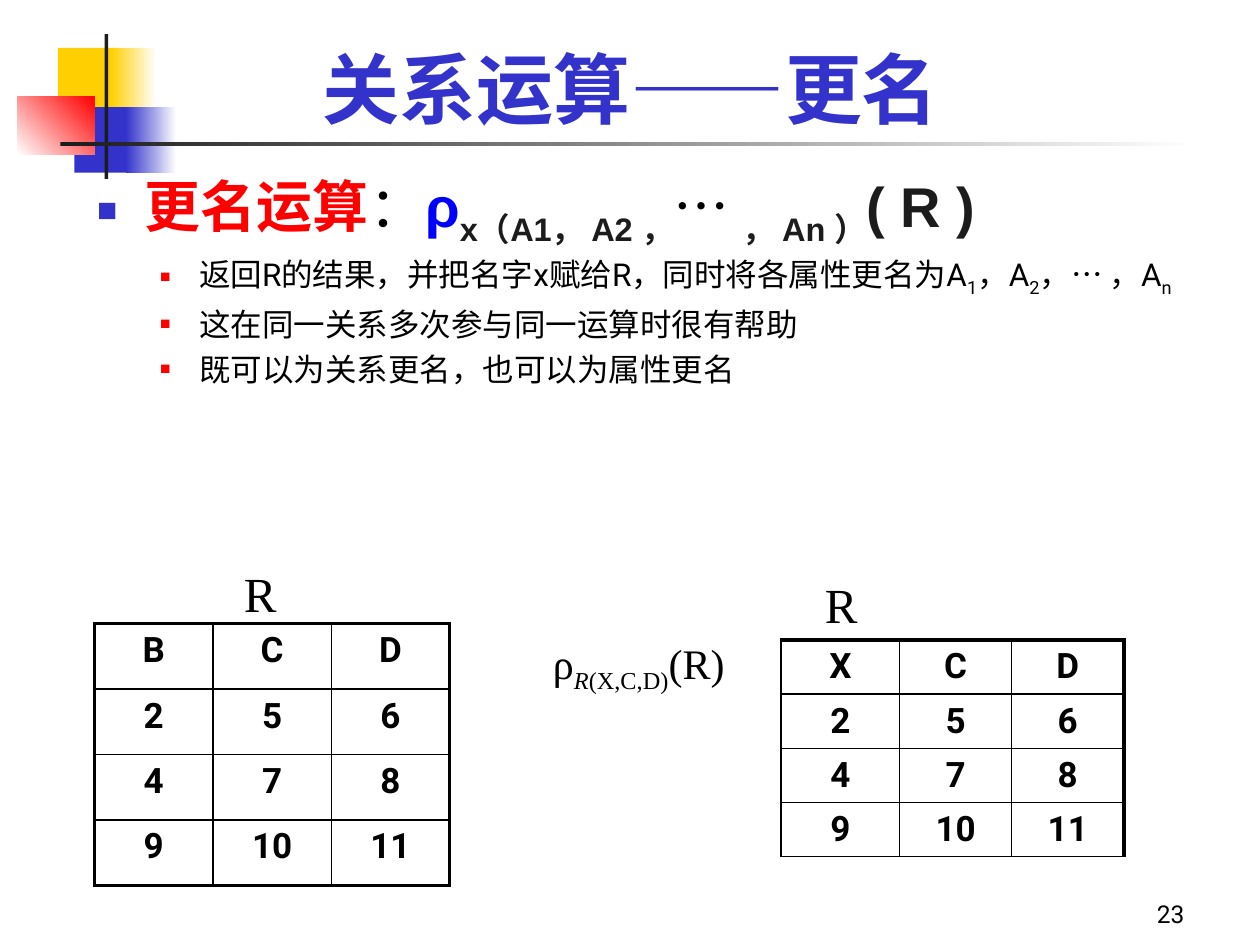
from lxml.etree import SubElement
from pptx import Presentation
from pptx.dml.color import RGBColor
from pptx.enum.shapes import MSO_SHAPE
from pptx.enum.text import MSO_ANCHOR, MSO_AUTO_SIZE, PP_ALIGN
from pptx.oxml.ns import qn
from pptx.util import Inches, Pt

BLUE, RED, BLACK, DARK = "3333CC", "FF0000", "000000", "1C1C1C"
YELLOW, WHITE, BRIGHT_BLUE = "FFCF01", "FFFFFF", "0000FF"
CJK, SANS, ARIAL, SERIF = "Noto Sans CJK SC", "Roboto", "Arial", "Times New Roman"
THIN, THICK = 1, 2.25


def color(hex_string):
    return RGBColor.from_string(hex_string)


def grid(*steps):
    """Lengths on a grid of 100 columns by 75 rows."""
    return [Inches(step / 10) for step in steps]


class SlideBuilder:
    def __init__(self, presentation):
        self.slide = presentation.slides.add_slide(presentation.slide_layouts[1])

    def block(self, box, first, last=None, angle=0):
        """Rectangle in one colour, or fading from first to last."""
        shape = self.slide.shapes.add_shape(MSO_SHAPE.RECTANGLE, *grid(*box))
        shape.shadow.inherit = False
        shape.line.fill.background()
        if last is None:
            shape.fill.solid()
            shape.fill.fore_color.rgb = color(first)
        else:
            shape.fill.gradient()
            shape.fill.gradient_angle = angle
            for stop, shade in zip(shape.fill.gradient_stops, (first, last)):
                stop.color.rgb = color(shade)

    def add_runs(self, paragraph, pieces, align, size, font=SANS, shade=BLACK, bold=False):
        """Add runs; each piece is its text and what differs from the defaults."""
        paragraph.alignment = align
        for text, changes in pieces:
            run = paragraph.add_run()
            run.text = text
            run.font.name = changes.get("font", font)
            run.font.size = Pt(size)
            run.font.bold = changes.get("bold", bold)
            run.font.italic = changes.get("italic", False)
            run.font.color.rgb = color(changes.get("shade", shade))
            properties = run._r.get_or_add_rPr()
            SubElement(properties, qn("a:ea")).set("typeface", CJK)
            if changes.get("sub"):
                properties.set("baseline", "-25000")

    def place(self, shape, box, anchor=MSO_ANCHOR.TOP, wrap=True):
        shape.left, shape.top, shape.width, shape.height = grid(*box)
        frame = shape.text_frame
        frame.word_wrap = wrap
        frame.auto_size = MSO_AUTO_SIZE.NONE
        frame.vertical_anchor = anchor
        return frame

    def title(self, box, text):
        frame = self.place(self.slide.shapes.title, box, MSO_ANCHOR.BOTTOM)
        self.add_runs(frame.paragraphs[0], [(text, {})], PP_ALIGN.CENTER, 44, CJK, BLUE, True)

    def body(self, box, heading, points):
        frame = self.place(self.slide.placeholders[1], box)
        first = frame.paragraphs[0]
        first.space_before = Pt(0)
        self.bullet(first, 0.38, 0.38, BLUE, 60)
        self.add_runs(first, heading, PP_ALIGN.JUSTIFY, 32, ARIAL, DARK, True)
        for pieces in points:
            paragraph = frame.add_paragraph()
            paragraph.level = 1
            paragraph.space_before = Pt(4)
            self.bullet(paragraph, 0.81, 0.31, RED, 55)
            self.add_runs(paragraph, pieces, PP_ALIGN.JUSTIFY, 18)

    def bullet(self, paragraph, margin, hanging, shade, percent):
        properties = paragraph._p.get_or_add_pPr()
        properties.set("marL", str(Inches(margin)))
        properties.set("indent", str(-Inches(hanging)))
        bullet_color = SubElement(properties, qn("a:buClr"))
        SubElement(bullet_color, qn("a:srgbClr")).set("val", shade)
        SubElement(properties, qn("a:buSzPct")).set("val", str(percent * 1000))
        SubElement(properties, qn("a:buFont")).set("typeface", ARIAL)
        SubElement(properties, qn("a:buChar")).set("char", "■")

    def label(self, box, pieces, align, size, font=SERIF, anchor=MSO_ANCHOR.TOP, wrap=True):
        shape = self.slide.shapes.add_textbox(*grid(*box))
        frame = self.place(shape, box, anchor, wrap)
        self.add_runs(frame.paragraphs[0], pieces, align, size, font)

    def relation(self, left, top, widths, row_height, rows, edges):
        """Table whose outer edges (left, right, top, bottom) have own widths."""
        box = (left, top, sum(widths), row_height * len(rows))
        table = self.slide.shapes.add_table(len(rows), len(widths), *grid(*box)).table
        table.first_row = table.horz_banding = False
        for column, width in zip(table.columns, grid(*widths)):
            column.width = width
        for y, row in enumerate(rows):
            table.rows[y].height = grid(row_height)[0]
            for x, value in enumerate(row):
                cell = table.cell(y, x)
                self.add_runs(cell.text_frame.paragraphs[0], [(str(value), {})],
                              PP_ALIGN.CENTER, 20, bold=True)
                outer = (x == 0, x == len(row) - 1, y == 0, y == len(rows) - 1)
                self.borders(cell, [edge if is_outer else THIN
                                    for edge, is_outer in zip(edges, outer)])
                cell.fill.background()

    def borders(self, cell, widths):
        properties = cell._tc.get_or_add_tcPr()
        for side, width in zip("LRTB", widths):
            line = SubElement(properties, qn(f"a:ln{side}"), w=str(Pt(width)))
            fill = SubElement(line, qn("a:solidFill"))
            SubElement(fill, qn("a:srgbClr")).set("val", BLACK)


def main():
    presentation = Presentation()
    presentation.slide_width, presentation.slide_height = grid(100, 75)
    builder = SlideBuilder(presentation)

    # Corner decoration and title rule
    builder.block((4.6, 3.8, 4.8, 5.2), YELLOW)
    builder.block((8.8, 3.8, 3.6, 5.2), YELLOW, WHITE)
    builder.block((5.9, 8.5, 4.6, 5.2), BLUE)
    builder.block((10, 8.5, 4, 5.2), BLUE, WHITE)
    builder.block((1.4, 7.7, 6.1, 4.6), WHITE, RED, 45)
    builder.block((8.3, 2.7, 0.3, 11.5), DARK)
    builder.block((4.8, 11.3, 90, 0.3), DARK, WHITE)

    # Title and list
    sub = {"sub": True}
    plain = {"font": CJK, "shade": BLACK, "bold": False}
    builder.title((7.5, 2.5, 85.2, 8.6), "关系运算——更名")
    builder.body(
        (6.7, 13.1, 90, 58.7),
        [("更名运算", {"font": CJK, "shade": RED}), ("：", plain),
         ("ρ", {"shade": BRIGHT_BLUE}), ("x（A1， A2 ，", sub),
         ("… ", plain), ("， An ）", sub), ("( R ) ", {})],
        [[("返回R的结果，并把名字x赋给R，同时将各属性更名为A", {}), ("1", sub),
          ("，A", {}), ("2", sub), ("，… ，A", {}), ("n ", sub)],
         [("这在同一关系多次参与同一运算时很有帮助", {})],
         [("既可以为关系更名，也可以为属性更名", {})]])

    # Relation before and after renaming
    values = [(2, 5, 6), (4, 7, 8), (9, 10, 11)]
    builder.relation(7.5, 49.5, (9.4, 9.4, 9.4), 5.2, ["BCD", *values],
                     (THICK, THICK, THICK, THICK))
    builder.relation(62, 50.8, (9.4, 8.9, 8.9), 4.3, ["XCD", *values],
                     (THIN, THICK, THICK, THIN))
    for left, top in ((14.4, 44.2), (60.5, 45.1)):
        builder.label((left, top, 12.5, 5.7), [("R", {})], PP_ALIGN.CENTER, 28)
    builder.label((42.9, 50.1, 16.7, 5),
                  [("ρ", {}), ("R", {"italic": True, "sub": True}),
                   ("(X,C,D)", sub), ("(R)", {})],
                  PP_ALIGN.LEFT, 24, wrap=False)

    # Page number
    builder.label((74.2, 69.2, 20.8, 5), [("23", {})], PP_ALIGN.RIGHT, 14, SANS,
                  MSO_ANCHOR.BOTTOM)

    presentation.save("out.pptx")


if __name__ == "__main__":
    main()
